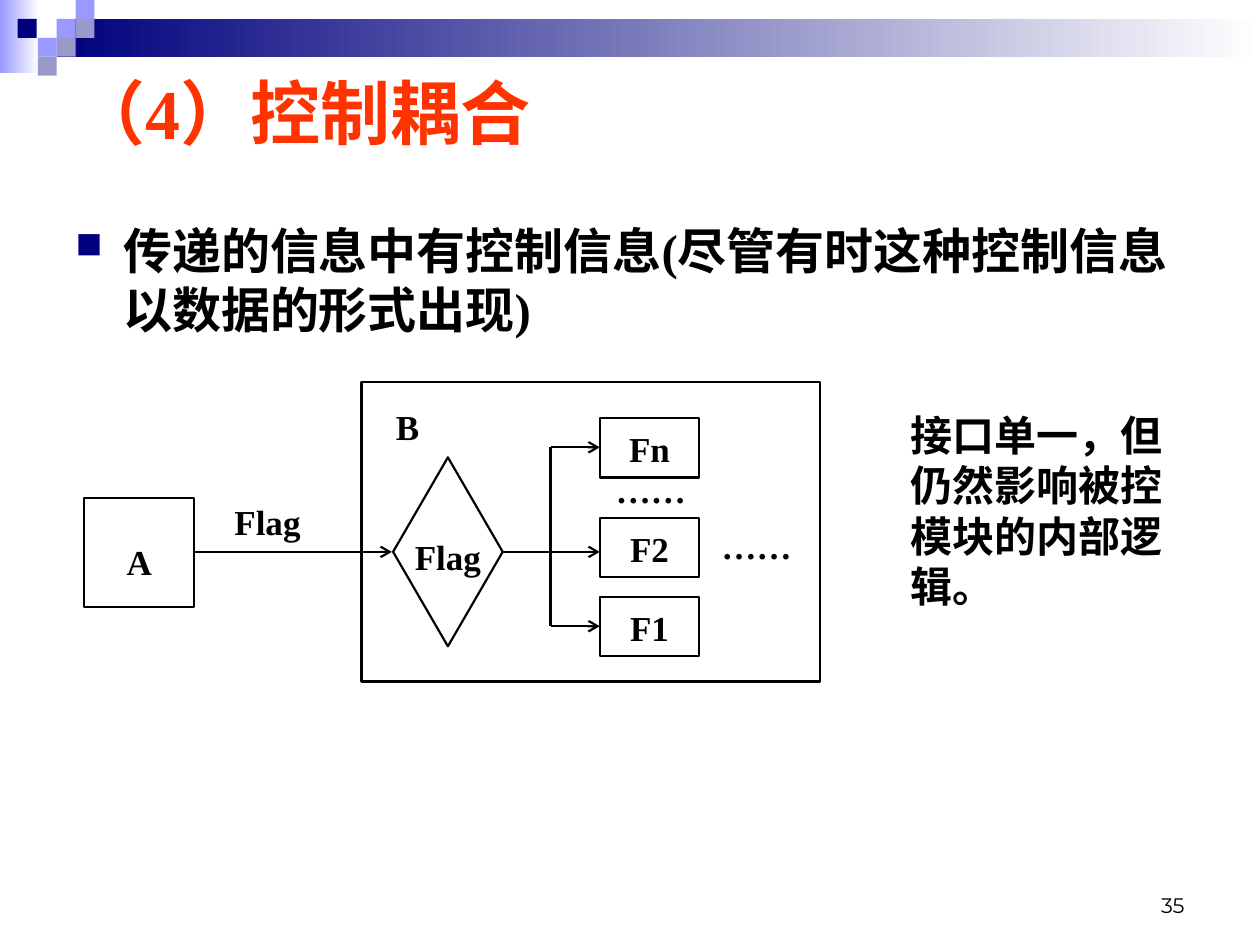
from pptx import Presentation, util as u
from pptx.dml.color import RGBColor
from pptx.enum import shapes as sh, text as tx
from pptx.oxml.ns import qn
from lxml import etree

I = u.Inches
KIND = sh.MSO_SHAPE
LEFT, MID = tx.PP_ALIGN.LEFT, tx.PP_ALIGN.CENTER
RIGHT, JUST = tx.PP_ALIGN.RIGHT, tx.PP_ALIGN.JUSTIFY
TOP = tx.MSO_ANCHOR.TOP
BLACK, WHITE, NAVY = "000000", "FFFFFF", "00007D"
LILAC, GREY, RED = "9999FF", "9999CC", "FF3300"


def color(code):
    return RGBColor.from_string(code)


class Deck:
    font, size, weight = "Times New Roman", 20, 1.25

    def __init__(self, slide):
        self.slide = slide

    def put(self, item, words, size=None, ink=BLACK, align=LEFT, anchor=TOP,
            pad=(0.1, 0.05), gap=None, before=0, font=None, bold=True):
        frame = item.text_frame
        frame.word_wrap = True
        frame.auto_size = tx.MSO_AUTO_SIZE.NONE
        frame.vertical_anchor = anchor
        frame.margin_left = frame.margin_right = I(pad[0])
        frame.margin_top = frame.margin_bottom = I(pad[1])
        frame.text = words
        para = frame.paragraphs[0]
        para.alignment = align
        para.space_before = u.Pt(before)
        if gap:
            para.line_spacing = gap
        face = para.font
        face.name, face.size = font or self.font, u.Pt(size or self.size)
        face.bold, face.color.rgb = bold, color(ink)
        return para

    def title(self, words, *box, **style):
        item = self.slide.shapes.title
        item.left, item.top, item.width, item.height = map(I, box)
        self.put(item, words, **style)

    def label(self, words, *box, **style):
        item = self.slide.shapes.add_textbox(*map(I, box))
        return self.put(item, words, **style)

    def bullet(self, words, *box, **style):
        props = self.label(words, *box, **style)._p.get_or_add_pPr()
        props.set("marL", str(I(0.38)))
        props.set("indent", str(-I(0.38)))
        # Bullet marks go before the paragraph's default font
        marks = [etree.Element(qn(tag)) for tag in
                 ("a:buClr", "a:buSzPct", "a:buChar")]
        etree.SubElement(marks[0], qn("a:srgbClr")).set("val", NAVY)
        marks[1].set("val", "75000")
        marks[2].set("char", "■")
        face = props.find(qn("a:defRPr"))
        for mark in marks:
            if face is None:
                props.append(mark)
            else:
                face.addprevious(mark)

    def shape(self, *box, kind=KIND.RECTANGLE, fill=None, fade=None, line=BLACK):
        item = self.slide.shapes.add_shape(kind, *map(I, box))
        item.shadow.inherit = False
        if fade:
            item.fill.gradient()
            item.fill.gradient_angle = 0
            for stop, code in zip(item.fill.gradient_stops, fade):
                stop.color.rgb = color(code)
        elif fill:
            item.fill.solid()
            item.fill.fore_color.rgb = color(fill)
        else:
            item.fill.background()
        if line:
            item.line.color.rgb = color(line)
            item.line.width = u.Pt(self.weight)
        else:
            item.line.fill.background()
        return item

    def line(self, *ends, arrow=True):
        item = self.slide.shapes.add_connector(
            sh.MSO_CONNECTOR.STRAIGHT, *map(I, ends))
        item.line.color.rgb = color(BLACK)
        item.line.width = u.Pt(self.weight)
        props = item._element.spPr
        etree.SubElement(props, qn("a:effectLst"))
        if arrow:
            tip = etree.SubElement(props.find(qn("a:ln")), qn("a:tailEnd"))
            tip.set("type", "arrow")


show = Presentation()
show.slide_width, show.slide_height = I(10), I(7.5)
deck = Deck(show.slides.add_slide(show.slide_layouts[5]))

# Top band and its mosaic of squares
deck.shape(0, 0, 0.31, 0.58, fade=(LILAC, WHITE), line=None)
deck.shape(0.45, 0.15, 9.55, 0.3, fade=(NAVY, WHITE), line=None)
for x, y, fill in ((0.45, 0.15, LILAC), (0.6, 0, LILAC), (0.6, 0.15, GREY),
                   (0.3, 0.3, LILAC), (0.14, 0.15, NAVY), (0.45, 0.3, GREY),
                   (0.3, 0.45, GREY)):
    deck.shape(x, y, 0.15, 0.15, fill=fill, line=None)

# Title and main point
deck.title("（4）控制耦合", 0.5, 0.44, 9, 0.89, size=40, ink=RED,
           anchor=tx.MSO_ANCHOR.MIDDLE)
deck.bullet("传递的信息中有控制信息(尽管有时这种控制信息以数据的形式出现)",
            0.5, 1.7, 8.99, 1.04, size=28, before=7)

# Module A calls module B
slim = (0.02, 0.01)
mid = 4.38
deck.shape(2.87, 3.03, 3.64, 2.38)
deck.label("B", 2.88, 2.81, 0.71, 0.79, align=MID, pad=slim, gap=2.2)
caller = deck.shape(0.67, 3.95, 0.87, 0.87, fill=WHITE)
deck.put(caller, "A", align=MID, pad=(0.1, 0.01), gap=2)
deck.line(1.53, mid, 3.11, mid)
deck.label("Flag", 1.84, 3.83, 0.71, 0.55, align=JUST, pad=slim, gap=1.4)

# Decision on the flag
deck.shape(3.12, 3.63, 0.87, 1.5, kind=KIND.DIAMOND)
deck.label("Flag", 3.12, 4.14, 0.87, 0.57, align=MID, pad=(0.06, 0.01), gap=1.3)

# Branches to the functions
trunk, edge = 4.37, 4.76
for name, top, start, y in (("Fn", 3.32, trunk, 3.55), ("F2", 4.11, 3.98, mid),
                            ("F1", 4.74, trunk, 4.97)):
    func = deck.shape(edge, top, 0.79, 0.47, fill=WHITE)
    deck.put(func, name, align=MID, pad=(0.1, 0.01), gap=1.2)
    deck.line(start, y, edge, y)
deck.line(trunk, 3.55, trunk, 4.97, arrow=False)
deck.label("……", 4.77, 3.71, 0.79, 0.43, align=MID, pad=slim)
deck.label("……", 5.63, 4.11, 1.17, 0.65, align=JUST)

# Remark and page number
deck.label("接口单一，但仍然影响被控模块的内部逻辑。", 7.13, 3.2, 2.25, 1.7,
           size=24, before=15)
deck.label("35", 7.17, 6.83, 2.33, 0.5, size=12, align=RIGHT, font="Montserrat",
           bold=False, anchor=tx.MSO_ANCHOR.BOTTOM)

show.save("out.pptx")
